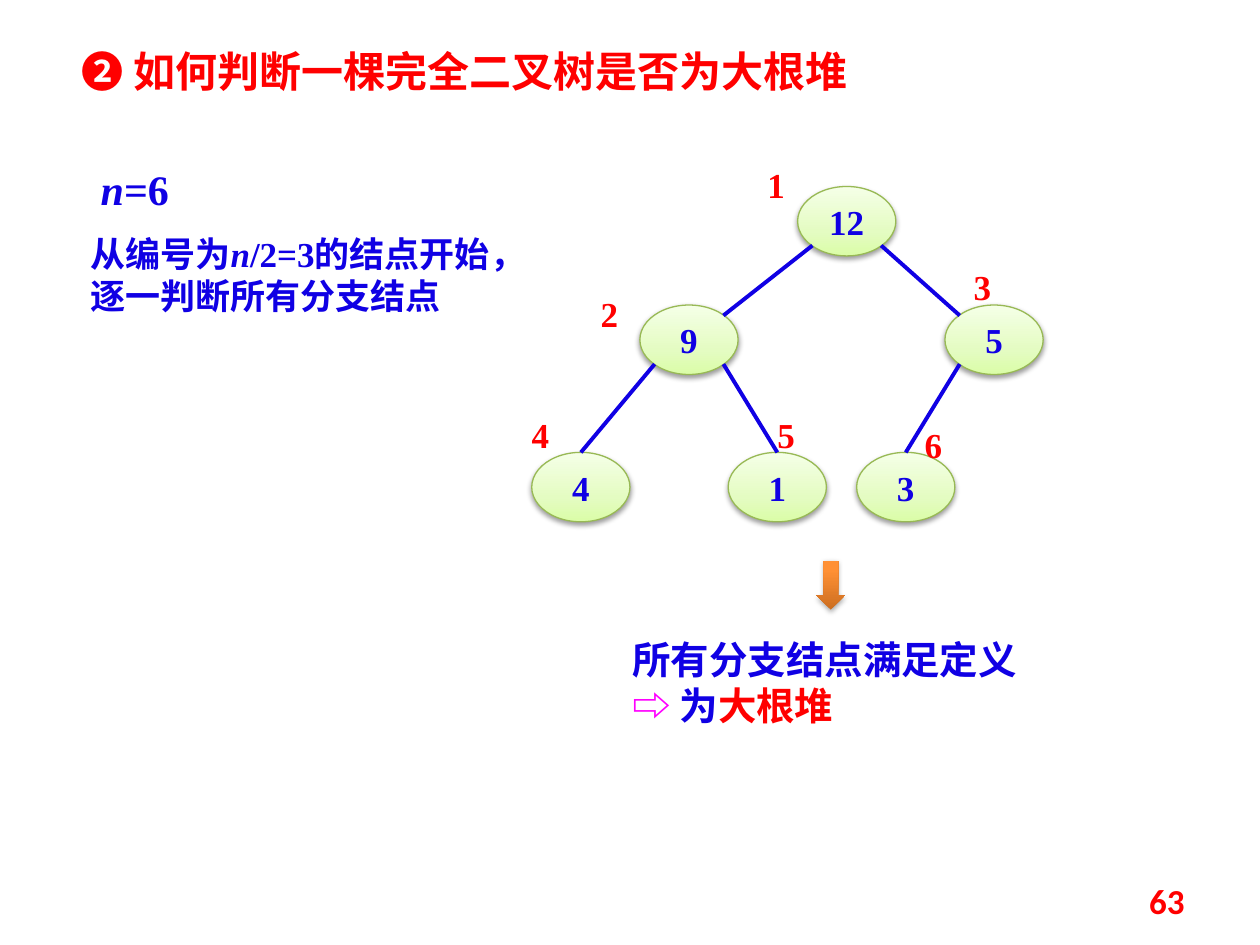
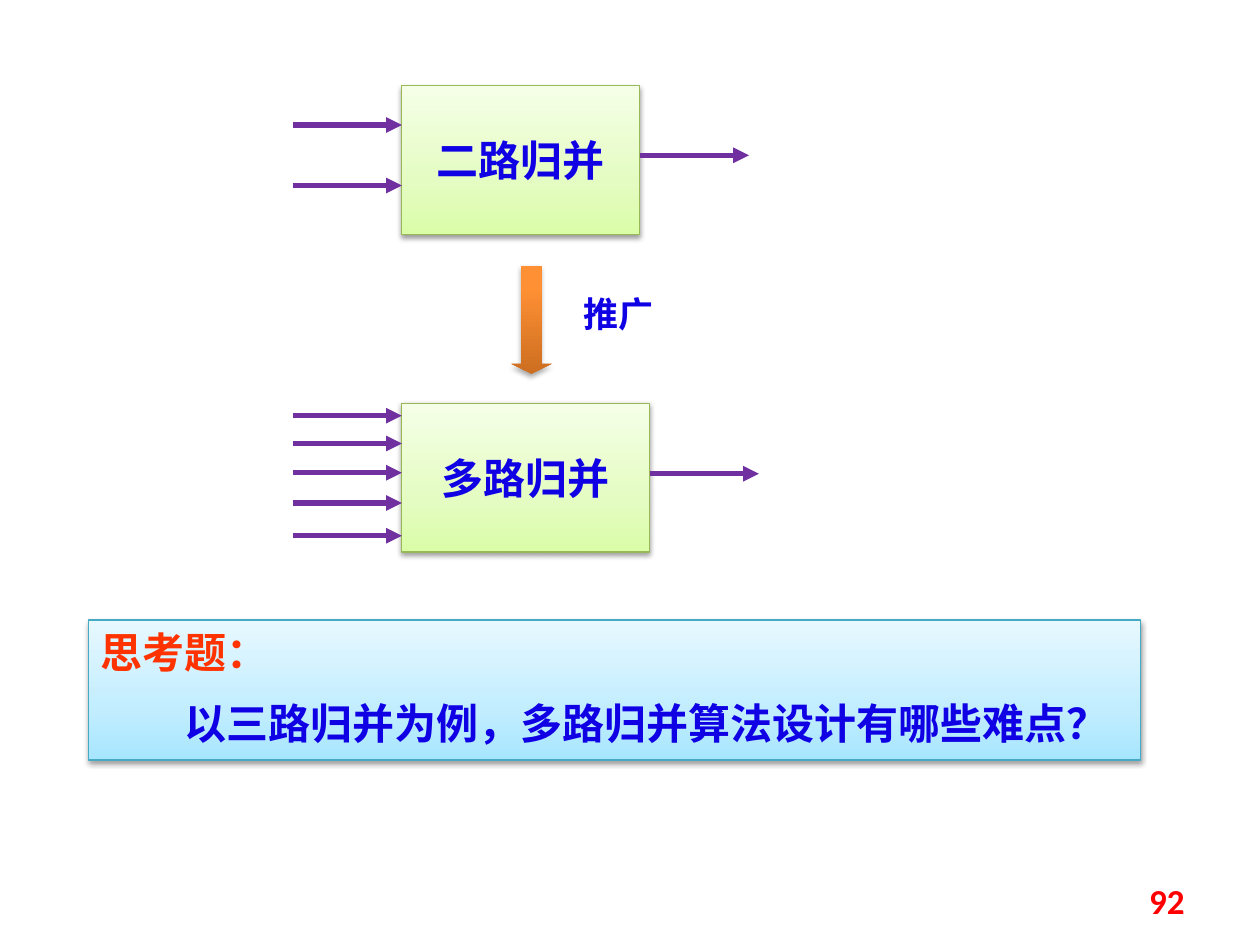
from dataclasses import dataclass

from lxml import etree
from pptx import Presentation
from pptx import util as u
from pptx.dml.color import RGBColor
from pptx.enum import shapes, text
from pptx.oxml import ns

BLUE = RGBColor(0x10, 0x00, 0xE4)
RED = RGBColor(0xFF, 0x00, 0x00)
ORANGE_RED = RGBColor(0xFF, 0x33, 0x00)
MAGENTA = RGBColor(0xFF, 0x00, 0xFF)
PURPLE = RGBColor(0x70, 0x30, 0xA0)
GREEN_LINE = RGBColor(0x98, 0xB9, 0x55)
CYAN_LINE = RGBColor(0x46, 0xAA, 0xC5)

# Gradient stops run from the bottom of a shape to its top.
GREEN_STOPS = {0: "DAFDA7", 35: "E4FCC2", 100: "F5FFE7"}
CYAN_STOPS = {0: "A7E6FF", 35: "C1EDFF", 100: "E7F8FF"}
ORANGE_STOPS = {0: "CC6E20", 80: "FF9034", 100: "FF9136"}

HAN = "Noto Sans CJK SC"
SERIF = "Times New Roman"
SANS = "Calibri"

NODE_WIDTH, NODE_HEIGHT = 1.98, 1.4
STAGE_HEIGHT = 3.0
FLOW_LENGTH = 2.2


@dataclass
class Box:
    """A region in centimetres."""
    left: float
    top: float
    width: float
    height: float

    def lengths(self):
        return [u.Cm(n) for n in (self.left, self.top, self.width, self.height)]

    def inside(self, x, y, width, height):
        return Box(self.left + x, self.top + y, width, height)

    def point(self, x_share, y_share):
        return (self.left + x_share * self.width,
                self.top + y_share * self.height)


def add_child(parent, tag, **attributes):
    child = etree.SubElement(parent, ns.qn(tag))
    for name, value in attributes.items():
        child.set(name, str(value))
    return child


def write_runs(paragraph, runs, size, font=HAN, bold=True):
    """Each run is (text, colour) or (text, colour, italic)."""
    for content, colour, *italic in runs:
        run = paragraph.add_run()
        run.text = content
        run.font.size = u.Pt(size)
        run.font.bold = bold
        run.font.italic = bool(italic and italic[0])
        run.font.color.rgb = colour
        run.font.name = font
        add_child(run.font._element, "a:ea", typeface=HAN)


def add_text(slide, box, runs, size, font=HAN, align=text.PP_ALIGN.LEFT,
             margin=None, anchor=text.MSO_ANCHOR.TOP):
    frame = slide.shapes.add_textbox(*box.lengths()).text_frame
    frame.word_wrap = True
    frame.vertical_anchor = anchor
    if margin is not None:
        frame.margin_left = frame.margin_right = u.Cm(margin)
        frame.margin_top = frame.margin_bottom = u.Cm(margin)
    paragraph = frame.paragraphs[0]
    paragraph.alignment = align
    write_runs(paragraph, runs, size, font)


def add_glossy_shape(slide, kind, box, stops, line=None, shade=38):
    """Shape with a vertical gradient and a soft shadow below it."""
    shape = slide.shapes.add_shape(kind, *box.lengths())
    shape.fill.gradient()
    shape.fill.gradient_angle = 90
    properties = shape._element.spPr
    stop_list = properties.find(".//" + ns.qn("a:gsLst"))
    for stop in list(stop_list):
        stop_list.remove(stop)
    for position, colour in stops.items():
        stop = add_child(stop_list, "a:gs", pos=position * 1000)
        add_child(stop, "a:srgbClr", val=colour)
    if line is None:
        shape.line.fill.background()
    else:
        shape.line.color.rgb = line
        shape.line.width = u.Pt(0.75)
    shape.shadow.inherit = False
    shadow = add_child(properties.find(ns.qn("a:effectLst")), "a:outerShdw",
                       blurRad=u.Pt(3.1), dist=u.Pt(1.6), dir=5400000,
                       rotWithShape=0)
    add_child(add_child(shadow, "a:srgbClr", val="000000"), "a:alpha",
              val=shade * 1000)
    return shape


def add_labelled_shape(slide, kind, box, label, size, font=HAN, wrap=True):
    shape = add_glossy_shape(slide, kind, box, GREEN_STOPS, GREEN_LINE)
    frame = shape.text_frame
    frame.word_wrap = wrap
    frame.vertical_anchor = text.MSO_ANCHOR.MIDDLE
    frame.paragraphs[0].alignment = text.PP_ALIGN.CENTER
    write_runs(frame.paragraphs[0], [(label, BLUE)], size, font)


def add_down_arrow(slide, box, head=0.5):
    arrow = add_glossy_shape(slide, shapes.MSO_SHAPE.DOWN_ARROW, box,
                             ORANGE_STOPS, shade=35)
    arrow.adjustments[0] = 0.5
    arrow.adjustments[1] = head


def add_line(slide, start, end, colour, width, arrowhead=False):
    line = slide.shapes.add_connector(
        shapes.MSO_CONNECTOR.STRAIGHT, *[u.Cm(n) for n in (*start, *end)])
    line.line.color.rgb = colour
    line.line.width = u.Pt(width)
    if arrowhead:
        add_child(line.line._get_or_add_ln(), "a:tailEnd", type="triangle")
    add_child(line._element.spPr, "a:effectLst")


def add_page_number(slide, number):
    add_text(slide, Box(18.21, 17.65, 5.92, 1.02), [(number, RED)], 20, SANS,
             text.PP_ALIGN.RIGHT, anchor=text.MSO_ANCHOR.MIDDLE)


def add_heap_tree(slide, box):
    """Draw a complete binary tree with nodes numbered level by level."""
    # value, node offset in the box, number offset from the node
    nodes = {
        1: ("12", (5.36, 0), (-0.61, -0.46)),
        2: ("9", (2.18, 2.39), (-0.79, -0.25)),
        3: ("5", (8.33, 2.39), (0.58, -0.79)),
        4: ("4", (0, 5.36), (0, -0.79)),
        5: ("1", (3.96, 5.36), (0.99, -0.79)),
        6: ("3", (6.55, 5.36), (1.37, -0.58)),
    }
    node_boxes = {}
    for number, (value, offset, _) in nodes.items():
        node_boxes[number] = box.inside(*offset, NODE_WIDTH, NODE_HEIGHT)
        add_labelled_shape(slide, shapes.MSO_SHAPE.OVAL, node_boxes[number],
                           value, 20, SERIF)
    near, far = 0.15, 0.85
    for number in range(2, len(nodes) + 1):
        is_left = number % 2 == 0
        is_leaf = 2 * number > len(nodes)
        start = node_boxes[number // 2].point(near if is_left else far, far)
        if is_leaf:
            end = node_boxes[number].point(0.5, 0)
        else:
            end = node_boxes[number].point(far if is_left else near, near)
        add_line(slide, start, end, BLUE, 2.25)
    for number, (_, _, offset) in nodes.items():
        add_text(slide, node_boxes[number].inside(*offset, 1, 0.86),
                 [(str(number), RED)], 20, SERIF, margin=0)


def add_conclusion(slide, box):
    add_down_arrow(slide, box.inside(3.96, 0, 0.58, 0.99))
    add_text(slide, box.inside(0, 1.4, box.width, 2.13),
             [("所有分支结点满足定义 ", BLUE), ("⇨ ", MAGENTA),
              ("为", BLUE), ("大根堆", RED)], 22)


def build_heap_slide(slide):
    add_text(slide, Box(1.4, 0.79, 17.07, 1.27),
             [("❷ 如何判断一棵完全二叉树是否为大根堆", RED)], 24)
    add_text(slide, Box(1.78, 3.18, 3.38, 1.27),
             [("n", BLUE, True), ("=6", BLUE)], 24, SERIF)
    add_text(slide, Box(1.57, 4.57, 8.94, 1.96),
             [("从编号为", BLUE), ("n", BLUE, True),
              ("/2=3的结点开始，逐一判断所有分支结点", BLUE)], 20, SERIF)
    add_heap_tree(slide, Box(10.72, 3.76, 10.31, 6.76))
    add_conclusion(slide, Box(12.5, 11.3, 8.94, 3.53))
    add_page_number(slide, "63")


def add_merge_stage(slide, box, label, input_offsets, output_offset):
    """Draw a merge block with arrows flowing in at left and out at right."""
    add_labelled_shape(slide, shapes.MSO_SHAPE.RECTANGLE, box, label, 24,
                       wrap=False)
    right = box.left + box.width
    flows = [(box.left - FLOW_LENGTH, offset) for offset in input_offsets]
    for x, offset in flows + [(right, output_offset)]:
        y = box.top + offset
        add_line(slide, (x, y), (x + FLOW_LENGTH, y), PURPLE, 3, True)


def add_question(slide, box):
    panel = add_glossy_shape(slide, shapes.MSO_SHAPE.RECTANGLE, box,
                             CYAN_STOPS, CYAN_LINE)
    frame = panel.text_frame
    frame.word_wrap = True
    frame.vertical_anchor = text.MSO_ANCHOR.TOP
    heading, question = frame.paragraphs[0], frame.add_paragraph()
    heading.alignment = question.alignment = text.PP_ALIGN.LEFT
    write_runs(heading, [("思考题：", ORANGE_RED)], 24, SANS)
    question.space_before = u.Pt(12)
    question._p.get_or_add_pPr().set("indent", str(u.Pt(48)))
    write_runs(question,
               [("以三路归并为例，多路归并算法设计有哪些难点？", BLUE)], 24)


def build_merge_slide(slide):
    add_merge_stage(slide, Box(8.1, 1.73, 4.8, STAGE_HEIGHT), "二路归并",
                    [0.79, 2.01], 1.4)
    add_down_arrow(slide, Box(10.31, 5.36, 0.81, 2.18), head=0.25)
    add_text(slide, Box(11.51, 5.77, 3.76, 1.12), [("推广", BLUE)], 20)
    add_merge_stage(slide, Box(8.1, 8.13, 5.0, STAGE_HEIGHT), "多路归并",
                    [0.25, 0.81, 1.4, 2.01, 2.67], 1.42)
    add_question(slide, Box(1.78, 12.5, 21.21, 2.82))
    add_page_number(slide, "92")


def main():
    presentation = Presentation()
    presentation.slide_width = u.Cm(25.4)
    presentation.slide_height = u.Cm(19.05)
    blank = presentation.slide_layouts[6]
    for build in (build_heap_slide, build_merge_slide):
        build(presentation.slides.add_slide(blank))
    presentation.save("out.pptx")


if __name__ == "__main__":
    main()
